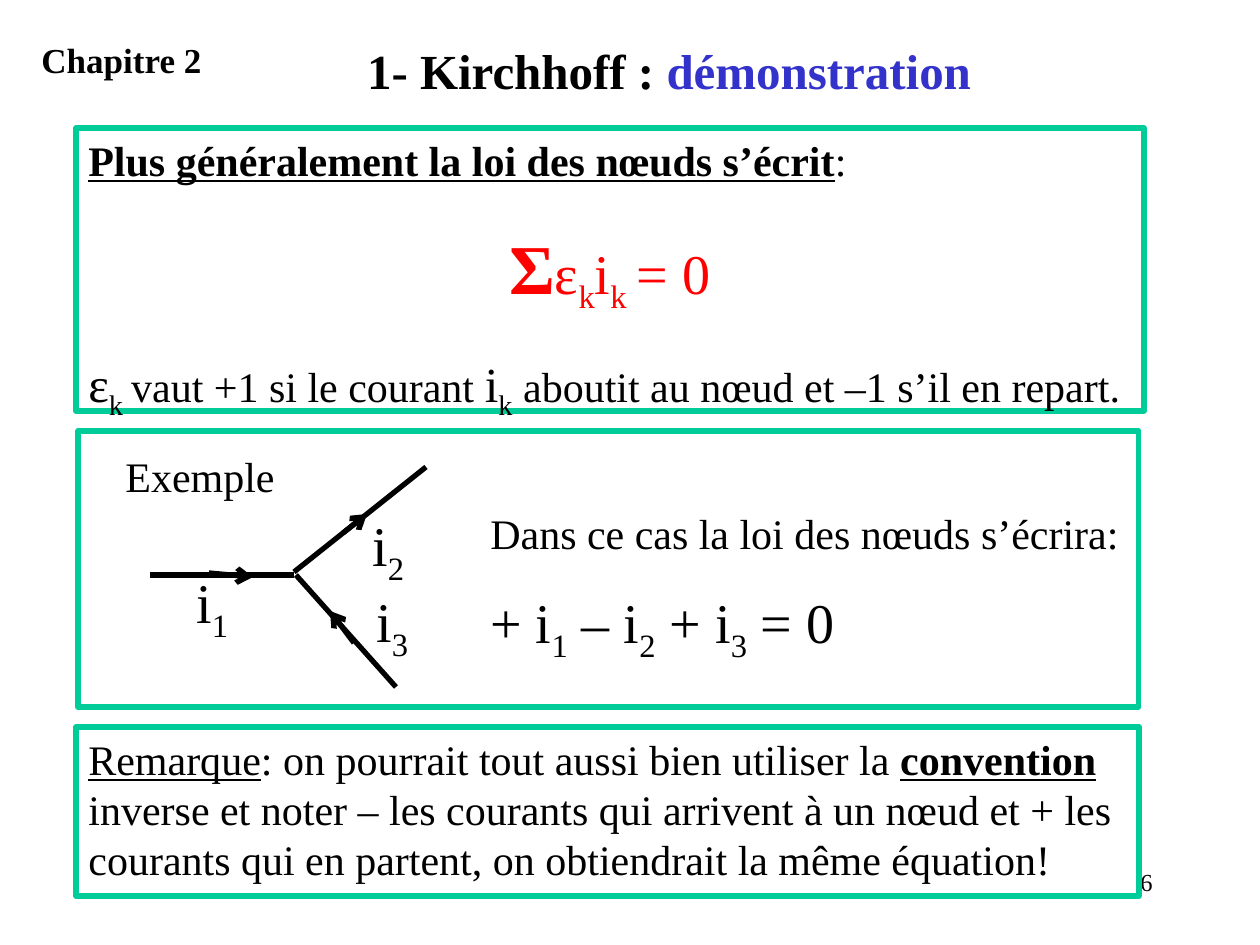
import dataclasses

import pptx
import pptx.dml.color
import pptx.enum.shapes
import pptx.enum.text
import pptx.oxml
import pptx.oxml.ns
import pptx.util

PX_PER_INCH = 126
ALIGN = pptx.enum.text.PP_ALIGN


@dataclasses.dataclass(frozen=True)
class Theme:
    font: str = "Times New Roman"
    ink: str = "000000"
    accent: str = "3333CC"
    formula: str = "FF0000"
    frame: str = "00CC99"
    stroke: int = 3
    title: int = 28
    chapter: int = 20
    body: int = 24
    symbol: int = 28
    equation: int = 32
    sigma: int = 40
    number: int = 14


THEME = Theme()


@dataclasses.dataclass
class Span:
    """A stretch of text; whatever is None follows the paragraph."""
    text: str
    size: int = None
    color: str = None
    bold: bool = None
    underline: bool = None
    sub: bool = False


@dataclasses.dataclass
class Para:
    spans: list
    size: int = THEME.body
    color: str = THEME.ink
    bold: bool = False
    align: int = ALIGN.LEFT
    before: int = 0


def px(length):
    return pptx.util.Emu(round(length * 914400 / PX_PER_INCH))


def rgb(color):
    return pptx.dml.color.RGBColor.from_string(color)


def sub(text, size=None):
    return Span(text, size, sub=True)


def indexed(letter, index, size=None):
    return [Span(letter, size), sub(index, size)]


def write(shape, paras):
    frame = shape.text_frame
    frame.word_wrap = True
    frame.vertical_anchor = pptx.enum.text.MSO_ANCHOR.TOP
    for number, para in enumerate(paras):
        paragraph = frame.add_paragraph() if number else frame.paragraphs[0]
        paragraph.alignment = para.align
        paragraph.space_before = pptx.util.Pt(para.before)
        paragraph.font.name = THEME.font
        paragraph.font.size = pptx.util.Pt(para.size)
        paragraph.font.bold = para.bold
        paragraph.font.color.rgb = rgb(para.color)
        for span in para.spans:
            add_span(paragraph, span)


def add_span(paragraph, span):
    run = paragraph.add_run()
    run.text = span.text
    font = run.font
    font.bold = span.bold
    font.underline = span.underline
    if span.size:
        font.size = pptx.util.Pt(span.size)
    if span.color:
        font.color.rgb = rgb(span.color)
    if span.sub:
        run._r.get_or_add_rPr().set("baseline", "-25000")


def add_title(slide, box, para):
    title = slide.shapes.title
    title.left, title.top, title.width, title.height = map(px, box)
    write(title, [para])


def add_text(slide, box, *paras):
    write(slide.shapes.add_textbox(*map(px, box)), paras)


def add_frame(slide, box, *paras):
    frame = slide.shapes.add_shape(
        pptx.enum.shapes.MSO_SHAPE.RECTANGLE, *map(px, box))
    frame.shadow.inherit = False
    frame.fill.background()
    frame.line.color.rgb = rgb(THEME.frame)
    frame.line.width = pptx.util.Pt(THEME.stroke)
    write(frame, paras)


def add_wire(slide, start, end, arrow=False):
    wire = slide.shapes.add_connector(
        pptx.enum.shapes.MSO_CONNECTOR.STRAIGHT, *map(px, (*start, *end)))
    wire.line.color.rgb = rgb(THEME.ink)
    wire.line.width = pptx.util.Pt(THEME.stroke)
    if arrow:
        head = pptx.oxml.parse_xml(
            f'<a:tailEnd {pptx.oxml.ns.nsdecls("a")} type="arrow"/>')
        wire.line._get_or_add_ln().append(head)
    wire._element.spPr.append(
        pptx.oxml.parse_xml(f'<a:effectLst {pptx.oxml.ns.nsdecls("a")}/>'))


def add_branch(slide, wire, current, label_corner, index):
    """One wire at the node, the arrow of its current and its label."""
    add_wire(slide, *wire)
    add_wire(slide, *current, arrow=True)
    add_text(slide, (*label_corner, 81, 79),
             Para(indexed("i", index), THEME.equation))


def add_law(slide):
    add_frame(
        slide, (76, 128, 1068, 283),
        Para([Span("Plus généralement la loi des nœuds s’écrit",
                   bold=True, underline=True), Span(":")]),
        Para([Span("Σ", THEME.sigma, bold=True), *indexed("ε", "k"),
              *indexed("i", "k"), Span(" ", THEME.body), Span("= 0")],
             THEME.equation, THEME.formula, align=ALIGN.CENTER, before=23),
        Para([*indexed("ε", "k", THEME.symbol), sub(" ", THEME.equation),
              Span("vaut +1 si le courant "),
              *indexed("i", "k", THEME.symbol),
              Span(" aboutit au nœud et –1 s’il en repart.")], before=18))


def add_example(slide):
    add_branch(slide, ((150, 575), (294, 575)), ((209, 573), (253, 577)),
               (184, 561), "1")
    add_branch(slide, ((294, 572), (426, 467)), ((343, 533), (367, 514)),
               (360, 504), "2")
    add_branch(slide, ((296, 575), (396, 687)), ((354, 643), (330, 611)),
               (364, 580), "3")
    add_text(slide, (113, 444, 260, 63), Para([Span("Exemple")]))
    add_text(slide, (478, 501, 732, 164),
             Para([Span("Dans ce cas la loi des nœuds s’écrira:")]),
             Para([*indexed("+ i", "1"), *indexed(" – i", "2"),
                   *indexed(" + i", "3"), Span(" = 0")],
                  THEME.equation, before=17))
    add_frame(slide, (78, 431, 1061, 276))


def add_remark(slide):
    add_frame(
        slide, (76, 727, 1063, 169),
        Para([Span("Remarque", underline=True),
              Span(": on pourrait tout aussi bien utiliser la "),
              Span("convention", bold=True, underline=True),
              Span(" inverse et noter – les courants qui arrivent à un nœud "
                   "et + les courants qui en partent, on obtiendrait la "
                   "même équation!")]))


def main():
    deck = pptx.Presentation()
    deck.slide_width, deck.slide_height = px(1260), px(945)
    slide = deck.slides.add_slide(deck.slide_layouts.get_by_name("Title Only"))
    add_text(slide, (903, 861, 262, 63),
             Para([Span("6")], THEME.number, align=ALIGN.RIGHT))
    add_title(slide, (112, 34, 1114, 72),
              Para([Span("1- Kirchhoff : "),
                    Span("démonstration", color=THEME.accent)],
                   THEME.title, bold=True, align=ALIGN.CENTER))
    add_text(slide, (29, 32, 358, 54),
             Para([Span("Chapitre 2")], THEME.chapter, bold=True))
    add_law(slide)
    add_example(slide)
    add_remark(slide)
    deck.save("out.pptx")


if __name__ == "__main__":
    main()
